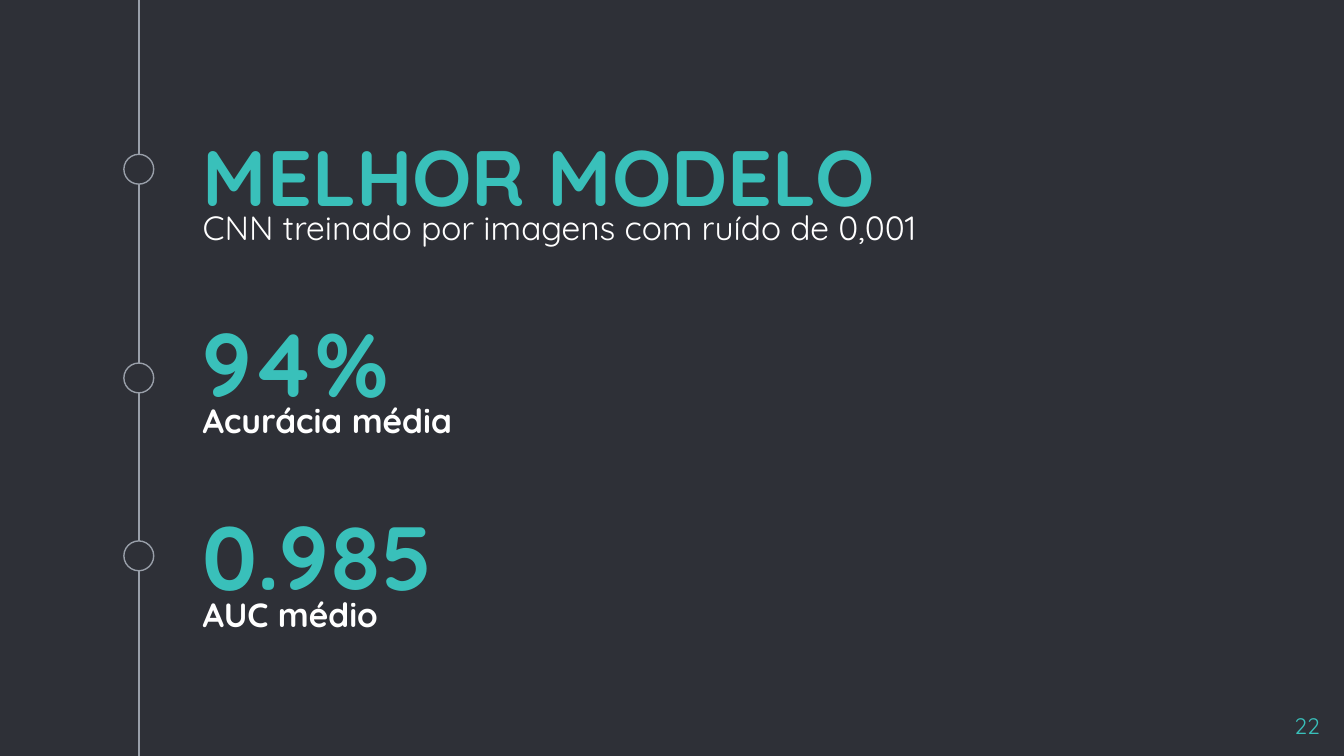
import dataclasses

import pptx
import pptx.dml.color
import pptx.enum.shapes
import pptx.enum.text
import pptx.oxml
import pptx.oxml.ns
import pptx.util
from pptx.util import Pt

ANCHOR = pptx.enum.text.MSO_ANCHOR
ALIGN = pptx.enum.text.PP_ALIGN


@dataclasses.dataclass(frozen=True)
class Theme:
    font: str = "Quicksand"
    background: str = "2E3037"
    accent: str = "39C0BA"
    text: str = "FFFFFF"
    timeline: str = "999FA9"
    title_size: float = 42
    figure_size: float = 48
    caption_size: float = 18
    number_size: float = 12


THEME = Theme()
WIDTH, HEIGHT = 720, 405
TIMELINE_X = 74.4
MARKER_SIZE = 16
TEXT_LEFT, TEXT_WIDTH = 101.5, 558.7
HEADING_HEIGHT, CAPTION_HEIGHT = 70.6, 36.7
CAPTION_OFFSET = 48  # from heading top to caption top


def rgb(color):
    return pptx.dml.color.RGBColor.from_string(color)


def write_text(box, text, size, color, bold=False, align=ALIGN.LEFT,
               anchor=ANCHOR.TOP, space_before=0):
    frame = box.text_frame
    frame.word_wrap = True
    frame.auto_size = pptx.enum.text.MSO_AUTO_SIZE.NONE
    frame.vertical_anchor = anchor
    frame.margin_left = frame.margin_right = Pt(7.2)
    frame.margin_top = frame.margin_bottom = Pt(7.2)
    paragraph = frame.paragraphs[0]
    paragraph.alignment = align
    paragraph.space_before = Pt(space_before)
    run = paragraph.add_run()
    run.text = text
    run.font.name = THEME.font
    run.font.size = Pt(size)
    run.font.bold = bold
    run.font.color.rgb = rgb(color)


def add_text(slide, left, top, width, height, text, **text_format):
    box = slide.shapes.add_textbox(Pt(left), Pt(top), Pt(width), Pt(height))
    write_text(box, text, **text_format)


def add_timeline(slide):
    timeline = slide.shapes.add_connector(
        pptx.enum.shapes.MSO_CONNECTOR.STRAIGHT,
        Pt(TIMELINE_X), Pt(0), Pt(TIMELINE_X), Pt(HEIGHT))
    timeline.line.color.rgb = rgb(THEME.timeline)
    timeline.line.width = Pt(0.75)
    properties = timeline._element.spPr
    properties.append(pptx.oxml.parse_xml(
        f"<a:effectLst {pptx.oxml.ns.nsdecls('a')}/>"))


def add_marker(slide, center_y):
    marker = slide.shapes.add_shape(
        pptx.enum.shapes.MSO_SHAPE.OVAL,
        Pt(TIMELINE_X - MARKER_SIZE / 2), Pt(center_y - MARKER_SIZE / 2),
        Pt(MARKER_SIZE), Pt(MARKER_SIZE))
    marker.shadow.inherit = False
    marker.fill.solid()
    marker.fill.fore_color.rgb = rgb(THEME.background)
    marker.line.color.rgb = rgb(THEME.timeline)
    marker.line.width = Pt(0.75)


def add_title(slide, top, text):
    title = slide.shapes.title
    title.left, title.top = Pt(TEXT_LEFT), Pt(top)
    title.width, title.height = Pt(TEXT_WIDTH), Pt(HEADING_HEIGHT)
    write_text(title, text, size=THEME.title_size, color=THEME.accent,
               bold=True, anchor=ANCHOR.BOTTOM)


def add_caption(slide, heading_top, text, bold):
    add_text(slide, TEXT_LEFT, heading_top + CAPTION_OFFSET, TEXT_WIDTH,
             CAPTION_HEIGHT, text, size=THEME.caption_size, color=THEME.text,
             bold=bold, space_before=6)


def add_result(slide, top, figure, caption):
    add_text(slide, TEXT_LEFT, top, TEXT_WIDTH, HEADING_HEIGHT, figure,
             size=THEME.figure_size, color=THEME.accent, bold=True,
             anchor=ANCHOR.BOTTOM)
    add_caption(slide, top, caption, bold=True)


def main():
    deck = pptx.Presentation()
    deck.slide_width, deck.slide_height = Pt(WIDTH), Pt(HEIGHT)
    slide = deck.slides.add_slide(deck.slide_layouts[5])
    slide.background.fill.solid()
    slide.background.fill.fore_color.rgb = rgb(THEME.background)

    # Timeline with one marker per text block
    add_timeline(slide)
    for center_y in (90.7, 202.5, 297.8):
        add_marker(slide, center_y)

    # Best model
    model_top = 55.5
    add_title(slide, model_top, "MELHOR MODELO")
    add_caption(slide, model_top,
                "CNN treinado por imagens com ruído de 0,001", bold=False)

    # Results
    add_result(slide, 159.2, "94%", "Acurácia média")
    add_result(slide, 262.7, "0.985", "AUC médio")

    # Slide number
    add_text(slide, 671, 374.4, 43.2, 24.5, "22", size=THEME.number_size,
             color=THEME.accent, align=ALIGN.RIGHT)

    deck.save("out.pptx")


if __name__ == "__main__":
    main()
